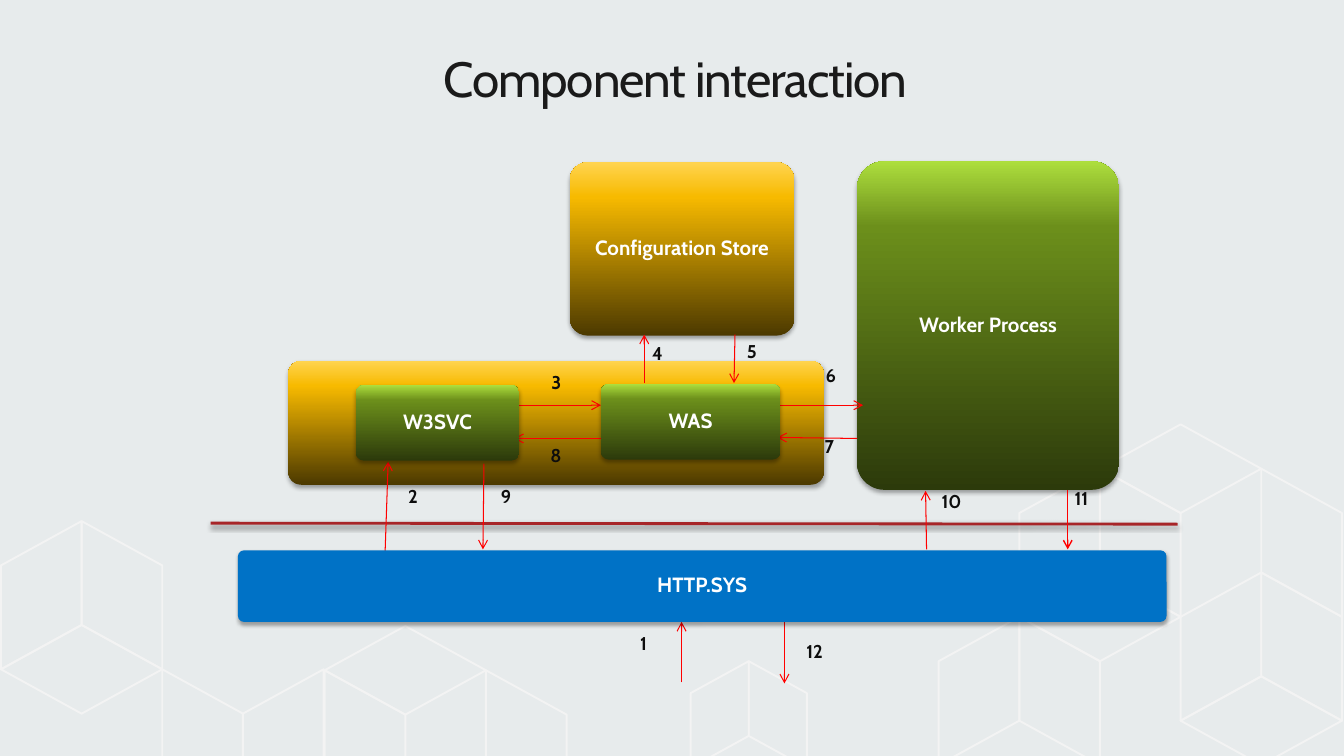
from dataclasses import dataclass

from lxml import etree
from pptx import Presentation
from pptx import util as u
from pptx.dml.color import RGBColor
from pptx.enum import shapes, text
from pptx.oxml import ns

# Boxes: label, (left, top, width, height), fill name, corner ratio
BACK_BOXES = [
    ("", (2.86, 3.58, 5.31, 1.23), "gold", 0.105),
    ("Configuration Store", (5.65, 1.61, 2.23, 1.72), "gold", 0.105),
    ("Worker Process", (8.5, 1.6, 2.6, 3.26), "green", 0.105),
]
FRONT_BOXES = [
    ("HTTP.SYS", (2.36, 5.46, 9.21, 0.71), "blue", 0.084),
    ("W3SVC", (3.53, 3.82, 1.62, 0.75), "green", 0.105),
    ("WAS", (5.96, 3.81, 1.78, 0.75), "green", 0.105),
]
DIVIDER = (2.09, 5.19, 11.68, 5.2)

# Steps: number, arrow (from x, from y, to x, to y), label (left, top, width)
STEPS = [
    ("1", (6.76, 6.77, 6.76, 6.17), (6.25, 6.25, 0.43)),
    ("2", (3.82, 5.47, 3.85, 4.58), (3.95, 4.79, 0.35)),
    ("3", (5.15, 4.02, 5.96, 4.02), (5.37, 3.66, 0.45)),
    ("4", (6.39, 3.8, 6.39, 3.32), (6.37, 3.37, 0.35)),
    ("5", (7.29, 3.32, 7.28, 3.8), (7.31, 3.35, 0.43)),
    ("6", (7.68, 4.02, 8.56, 4.02), (8.09, 3.59, 0.45)),
    ("7", (8.5, 4.35, 7.71, 4.34), (8.08, 4.29, 0.55)),
    ("8", (5.96, 4.35, 5.1, 4.35), (5.36, 4.38, 0.32)),
    ("9", (4.8, 4.6, 4.79, 5.45), (4.87, 4.79, 0.33)),
    ("10", (9.19, 5.45, 9.18, 4.87), (9.24, 4.84, 0.54)),
    ("11", (10.59, 4.86, 10.59, 5.45), (10.56, 4.81, 0.63)),
    ("12", (7.78, 6.17, 7.78, 6.78), (7.9, 6.33, 0.54)),
]

# Cube clusters: origin, scale, faces as (kind, column, half-rows, wall rows)
CLUSTERS = [
    ((9.31, 4.21), 1, [
        ("up", 0, 3, 1), ("down", 1, 2, 1), ("up", 1, 2, 0),
        ("down", 2, 1, 0), ("tile", 1, 2, 1), ("tile", 2, 1, 0),
        ("up", 3, 2, 1), ("down", 4, 1, 1), ("tile", 3, 2, 2),
        ("down", 4, 1, 0)]),
    ((0.01, 5.17), 1, [
        ("up", 3, 2, 1), ("down", 2, 1, 1), ("down", 1, 0, 0),
        ("up", 0, 1, 0), ("tile", 0, 1, 1)]),
    ((3.22, 6.65), 1, [("down", 0, 0, 0), ("tile", 0, 0, 0), ("down", 2, 0, 0)]),
    ((6.85, 6.56), 0.72, [("up", 0, 1, 0), ("down", 1, 0, 0)]),
]
COL, HALF, WALL = 0.8, 0.44, 1.03


@dataclass(frozen=True)
class Theme:
    font: str = "Cabin"
    background: str = "E7EBEC"
    lattice: str = "F3F3F3"
    title: str = "1A1A1A"
    label: str = "0D0D0D"
    on_box: str = "FFFFFF"
    divider: str = "A72528"
    arrow: str = "FF0000"
    blue: tuple = ("0072C6",)
    gold: tuple = ("4C3900", "F7BA00", "FFD450")
    green: tuple = ("2C3A0B", "6C8F1B", "ADDE3D")
    title_size: float = 35.3
    box_size: float = 14.7
    label_size: float = 13.2


T = Theme()


def rgb(value):
    return RGBColor.from_string(value)


def sub(parent, tag, **attrs):
    """Append a DrawingML child element."""
    return etree.SubElement(parent, ns.qn("a:" + tag),
                            {k: str(v) for k, v in attrs.items()})


def add_shadow(effects, alpha, dist):
    shadow = sub(effects, "outerShdw", blurRad=u.Pt(3.1), dist=u.Pt(dist),
                 dir=5400000, algn="t", rotWithShape=0)
    sub(sub(shadow, "srgbClr", val="000000"), "alpha", val=alpha * 1000)


def write(s, words, *, size, color, bold=False, align=text.PP_ALIGN.LEFT,
          anchor=text.MSO_ANCHOR.TOP, insets=(0.1, 0.05), spacing=None):
    tf = s.text_frame
    tf.word_wrap = True
    tf.vertical_anchor = anchor
    tf.margin_left = tf.margin_right = u.Inches(insets[0])
    tf.margin_top = tf.margin_bottom = u.Inches(insets[1])
    p = tf.paragraphs[0]
    p.alignment, p.line_spacing = align, 0.9
    r = p.add_run()
    r.text = words
    r.font.name, r.font.size, r.font.bold = T.font, u.Pt(size), bold
    r.font.color.rgb = rgb(color)
    if spacing is not None:
        r.font._element.set("spc", str(round(spacing * 100)))


def add_text(slide, words, at, **style):
    write(slide.shapes.add_textbox(*map(u.Inches, at)), words, **style)


def add_box(slide, words, at, fill, corner):
    s = slide.shapes.add_shape(shapes.MSO_SHAPE.ROUNDED_RECTANGLE,
                               *map(u.Inches, at))
    s.adjustments[0] = corner
    s.line.fill.background()
    s.shadow.inherit = False
    props = s._element.spPr
    add_shadow(props.find(ns.qn("a:effectLst")), 35, 1.8)
    colors = getattr(T, fill)
    s.fill.solid()
    s.fill.fore_color.rgb = rgb(colors[0])
    if len(colors) > 1:
        grad = etree.Element(ns.qn("a:gradFill"), rotWithShape="1")
        stops = sub(grad, "gsLst")
        for pos, color in zip((0, 80, 100), colors):
            sub(sub(stops, "gs", pos=pos * 1000), "srgbClr", val=color)
        sub(grad, "lin", ang=270 * 60000, scaled=0)
        props.replace(props.find(ns.qn("a:solidFill")), grad)
    if words:
        write(s, words, size=T.box_size, color=T.on_box, bold=True,
              align=text.PP_ALIGN.CENTER, anchor=text.MSO_ANCHOR.MIDDLE,
              insets=(0.07, 0.04))


def add_line(slide, ends, color, width, arrow=False, shadow=False):
    c = slide.shapes.add_connector(shapes.MSO_CONNECTOR.STRAIGHT,
                                   *map(u.Inches, ends))
    c.line.color.rgb = rgb(color)
    c.line.width = u.Pt(width)
    if arrow:
        sub(c.line._get_or_add_ln(), "tailEnd", type="arrow")
    effects = sub(c._element.spPr, "effectLst")
    if shadow:
        add_shadow(effects, 38, 1.6)


def face_points(kind, x, y, scale):
    """Corners of a cube face whose upper left corner is at x, y."""
    col, half, wall = COL * scale, HALF * scale, WALL * scale
    if kind == "tile":
        return [(x, y), (x + col, y - half), (x + 2 * col, y), (x + col, y + half)]
    far = y + half if kind == "down" else y - half
    return [(x, y), (x + col, far), (x + col, far + wall), (x, y + wall)]


def add_cluster(slide, origin, scale, faces):
    for kind, col, halves, walls in faces:
        x = origin[0] + col * COL * scale
        y = origin[1] + (halves * HALF + walls * WALL) * scale
        start, *rest = [(u.Inches(a), u.Inches(b))
                        for a, b in face_points(kind, x, y, scale)]
        builder = slide.shapes.build_freeform(*start)
        builder.add_line_segments(rest, close=True)
        s = builder.convert_to_shape()
        s.fill.background()
        s.line.color.rgb = rgb(T.lattice)
        s.line.width = u.Pt(1.38)
        s.shadow.inherit = False


def main():
    prs = Presentation()
    prs.slide_width, prs.slide_height = u.Inches(13.33), u.Inches(7.5)
    slide = prs.slides.add_slide(prs.slide_layouts[6])
    slide.background.fill.solid()
    slide.background.fill.fore_color.rgb = rgb(T.background)

    for cluster in CLUSTERS:
        add_cluster(slide, *cluster)
    add_text(slide, "Component interaction", (0.3, 0.32, 12.8, 0.98),
             size=T.title_size, color=T.title, align=text.PP_ALIGN.CENTER,
             anchor=text.MSO_ANCHOR.MIDDLE, insets=(0.16, 0.1), spacing=-0.8)
    for box in BACK_BOXES:
        add_box(slide, *box)
    add_line(slide, DIVIDER, T.divider, 2, shadow=True)
    for number, ends, label in STEPS:
        add_line(slide, ends, T.arrow, 1 if number == "11" else 0.75, arrow=True)
        add_text(slide, number, (*label, 0.43), size=T.label_size,
                 color=T.label, bold=True)
    for box in FRONT_BOXES:
        add_box(slide, *box)
    prs.save("out.pptx")


if __name__ == "__main__":
    main()
